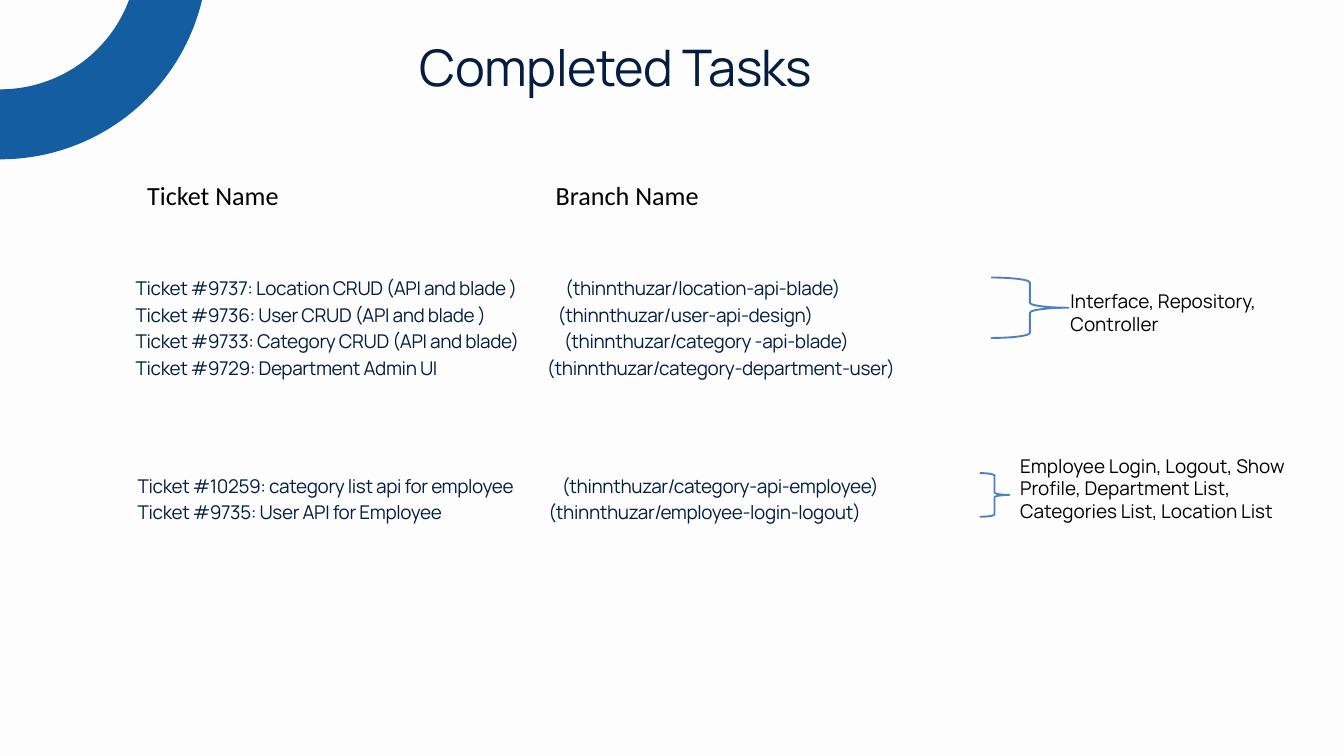
import pptx
import pptx.dml.color
import pptx.enum.shapes
import pptx.util
from lxml import etree

Inches = pptx.util.Inches
Pt = pptx.util.Pt
NAVY, BLUE, BRACE, BLACK, PAPER = "051D40", "145DA0", "4F81BD", "000000", "FDFDFD"
BODY_SIZE = 20.3
SHAPES = pptx.enum.shapes.MSO_SHAPE


def colour(value):
    return pptx.dml.color.RGBColor.from_string(value)


class TaskSlide:
    """Holds the text style and the slide being drawn."""

    font = "Manrope"

    def __init__(self, slide):
        self.slide = slide
        slide.background.fill.solid()
        slide.background.fill.fore_color.rgb = colour(PAPER)

    def outline(self, kind, left, top, width, height, line, weight):
        shape = self.slide.shapes.add_shape(
            kind, Inches(left), Inches(top), Inches(width), Inches(height))
        shape.shadow.inherit = False
        shape.fill.background()
        shape.line.color.rgb = colour(line)
        shape.line.width = Pt(weight)

    def text(self, left, top, width, height, lines, size=BODY_SIZE, ink=BLACK,
             font=None, leading=None, tracking=0):
        box = self.slide.shapes.add_textbox(
            Inches(left), Inches(top), Inches(width), Inches(height))
        frame = box.text_frame
        frame.word_wrap = True
        frame.margin_left = frame.margin_right = 0
        frame.margin_top = frame.margin_bottom = 0
        for index, line in enumerate(lines):
            paragraph = frame.paragraphs[0] if index == 0 else frame.add_paragraph()
            run = paragraph.add_run()
            run.text = line
            paragraph.font.name = font or self.font
            paragraph.font.size = Pt(size)
            paragraph.font.color.rgb = colour(ink)
            if leading:
                paragraph.line_spacing = Pt(leading)
            if tracking:
                run.font._element.set("spc", str(round(tracking * 100)))
        return frame

    def columns(self, left, top, width, height, rows, **style):
        lines = [f"{ticket}\t{branch}" for ticket, branch, _ in rows]
        frame = self.text(left, top, width, height, lines, **style)
        for paragraph, (_, _, branch_left) in zip(frame.paragraphs, rows):
            properties = paragraph._p.get_or_add_pPr()
            tabs = etree.Element(pptx.oxml.ns.qn("a:tabLst"))
            etree.SubElement(tabs, pptx.oxml.ns.qn("a:tab"),
                             pos=str(Inches(branch_left - left)), algn="l")
            properties.find(pptx.oxml.ns.qn("a:defRPr")).addprevious(tabs)

    def tickets(self, left, top, height, rows):
        self.columns(left, top, 13.5, height, rows, ink=NAVY, leading=28.4, tracking=-0.4)

    def brace(self, left, top, width, height):
        self.outline(SHAPES.RIGHT_BRACE, left, top, width, height, BRACE, 2)


def main():
    presentation = pptx.Presentation()
    presentation.slide_width = Inches(20)
    presentation.slide_height = Inches(11.25)
    page = TaskSlide(presentation.slides.add_slide(presentation.slide_layouts[6]))

    page.outline(SHAPES.OVAL, -2.56, -3.28, 5.13, 5.13, BLUE, 75)
    page.text(6.25, 0.88, 7.5, 0.56, ["Completed Tasks"], size=54, ink=NAVY,
              leading=40, tracking=-0.6)
    page.columns(2.19, 2.67, 15.7, 0.74, [("Ticket Name", "Branch Name", 8.27)],
                 size=28, font="Calibri")

    page.tickets(2.02, 4.06, 1.6, [
        ("Ticket #9737: Location CRUD (API and blade )", "(thinnthuzar/location-api-blade)", 8.41),
        ("Ticket #9736: User CRUD (API and blade )", "(thinnthuzar/user-api-design)", 8.3),
        ("Ticket #9733: Category CRUD (API and blade)", "(thinnthuzar/category -api-blade)", 8.39),
        ("Ticket #9729: Department Admin UI", "(thinnthuzar/category-department-user)", 8.14),
    ])
    page.brace(14.75, 4.13, 1.15, 0.9)
    page.text(15.93, 4.31, 3.65, 1.6, ["Interface, Repository, Controller"])

    page.tickets(2.05, 7, 0.8, [
        ("Ticket #10259: category list api for employee", "(thinnthuzar/category-api-employee)", 8.36),
        ("Ticket #9735: User API for Employee", "(thinnthuzar/employee-login-logout)", 8.16),
    ])
    page.brace(14.58, 7.04, 0.44, 0.65)
    page.text(15.18, 6.76, 4.31, 3.13, [
        "Employee Login, Logout, Show Profile, Department List, Categories List, Location List"])

    presentation.save("out.pptx")


if __name__ == "__main__":
    main()
